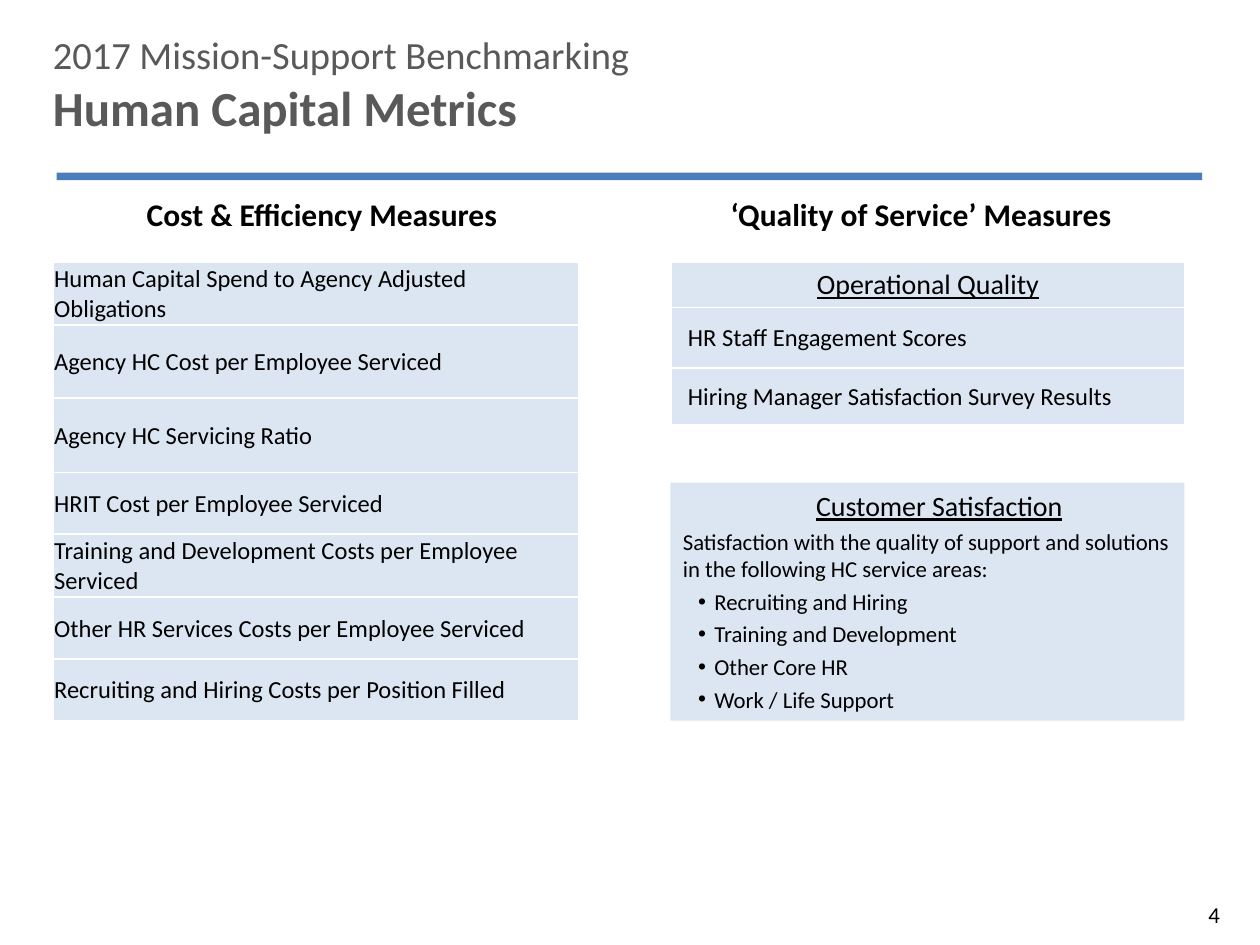
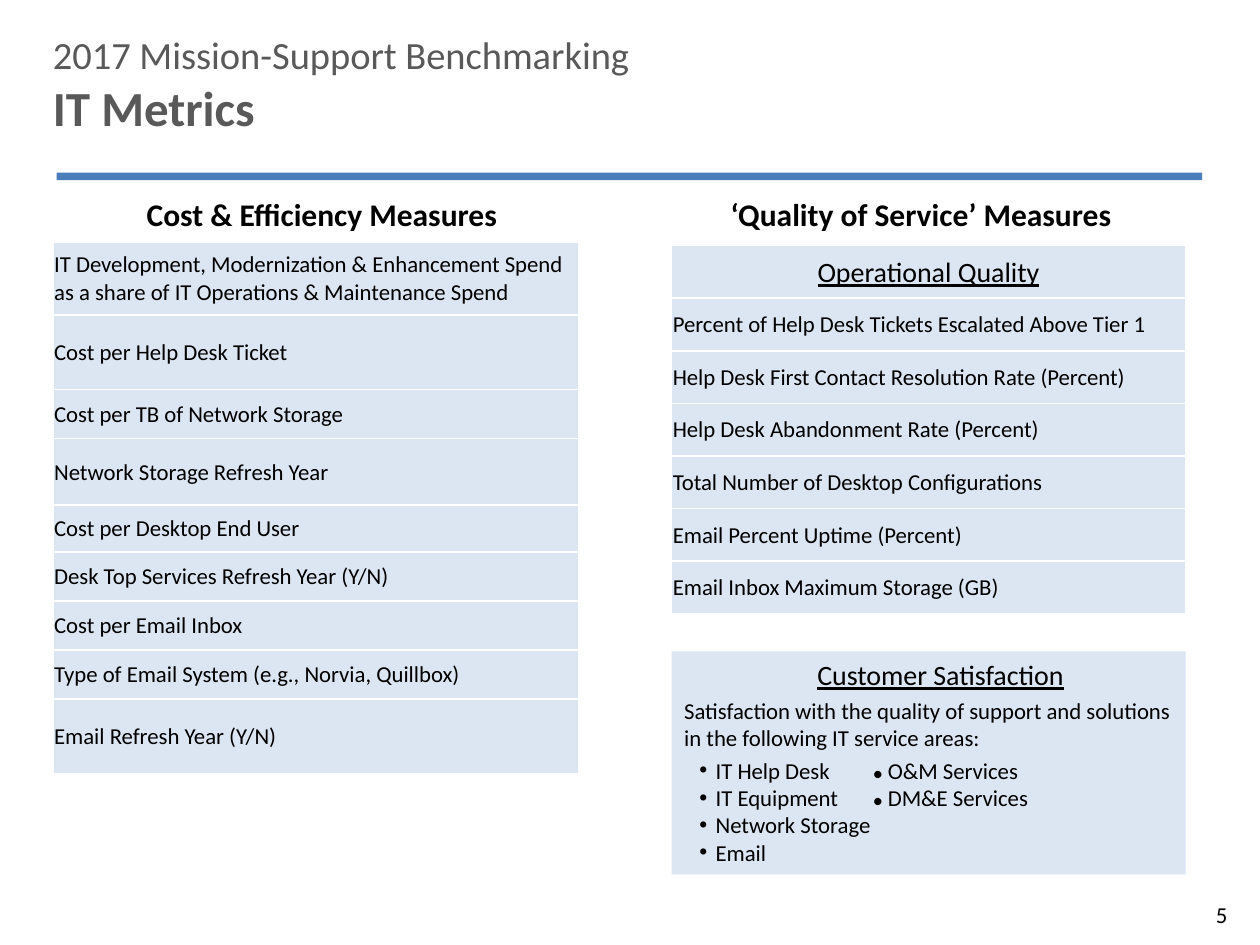
import pptx
import pptx.util
import pptx.dml.color
import pptx.enum.shapes
import pptx.enum.text
import pptx.oxml
import pptx.oxml.ns
from lxml import etree

Inches, Pt = pptx.util.Inches, pptx.util.Pt
RGBColor = pptx.dml.color.RGBColor
PP_ALIGN, ANCHOR = pptx.enum.text.PP_ALIGN, pptx.enum.text.MSO_ANCHOR
qn = pptx.oxml.ns.qn

BLACK = RGBColor(0x00, 0x00, 0x00)
GREY = RGBColor(0x59, 0x59, 0x59)
BLUE = RGBColor(0x4A, 0x7E, 0xBB)
PALE = RGBColor(0xDC, 0xE6, 0xF2)
WHITE = RGBColor(0xFF, 0xFF, 0xFF)
FONT = "Calibri"
LEFT_X, LEFT_W = 0.42, 4.17
RIGHT_X, RIGHT_W = 5.33, 4.08
COMPARISON = 4  # layout: title, heading, list, heading, list


class Deck:
    """Shared style and the slide being built."""

    def __init__(self):
        """Start an empty 10 x 7.5 inch presentation."""
        self.prs = pptx.Presentation()
        self.prs.slide_width, self.prs.slide_height = Inches(10), Inches(7.5)
        self.s = None

    def style(self, p, size, color=BLACK, bold=False, underline=False):
        """Format every run of a paragraph."""
        for r in p.runs:
            f = r.font
            f.name, f.size, f.bold, f.underline = FONT, Pt(size), bold, underline
            f.color.rgb = color

    def indent(self, p, left, first=0):
        """Set left margin and first-line indent."""
        pPr = p._p.get_or_add_pPr()
        pPr.set("marL", str(Inches(left)))
        pPr.set("indent", str(Inches(first)))

    def place(self, sp, x, y, w, h, margin=None):
        """Position a text shape, top anchored, with fixed text size."""
        sp.left, sp.top = Inches(x), Inches(y)
        sp.width, sp.height = Inches(w), Inches(h)
        tf = sp.text_frame
        tf.word_wrap = True
        tf.auto_size = pptx.enum.text.MSO_AUTO_SIZE.NONE
        tf.vertical_anchor = ANCHOR.TOP
        if margin is not None:
            tf.margin_left = tf.margin_right = Inches(margin)
            tf.margin_top = tf.margin_bottom = Inches(margin)
        return tf

    def slide(self, topic, number, number_x):
        """Add a slide with title, band, headings and page number."""
        self.s = self.prs.slides.add_slide(self.prs.slide_layouts[COMPARISON])
        unused = self.s.placeholders[2]._element
        unused.getparent().remove(unused)
        self.band()
        self.title("2017 Mission-Support Benchmarking", topic)
        self.heading(1, "Cost & Efficiency Measures", 0.67, 3.58)
        self.heading(3, "‘Quality of Service’ Measures", 4.84, 4.75)
        self.page_number(number, number_x)

    def band(self):
        """Draw the blue rule under the title."""
        sp = self.s.shapes.add_shape(
            pptx.enum.shapes.MSO_SHAPE.RECTANGLE,
            Inches(0.45), Inches(1.37), Inches(9.09), Inches(0.06))
        sp.shadow.inherit = False
        sp.fill.solid()
        sp.fill.fore_color.rgb = BLUE
        sp.line.fill.background()

    def title(self, series, topic):
        """Write the two-line title."""
        tf = self.place(self.s.shapes.title, LEFT_X, 0.25, 8.42, 0.92, margin=0)
        tf.text = series + "\n" + topic
        for p, size, bold in zip(tf.paragraphs, (22, 28), (False, True)):
            p.alignment = PP_ALIGN.LEFT
            self.style(p, size, GREY, bold)

    def heading(self, idx, text, x, w):
        """Write a column heading."""
        tf = self.place(self.s.placeholders[idx], x, 1.5, w, 6)
        tf.text = text
        p = tf.paragraphs[0]
        p.alignment, p.space_after = PP_ALIGN.CENTER, Pt(3)
        self.indent(p, 0.19)
        self.style(p, 18, bold=True)

    def page_number(self, number, x):
        """Write the page number at the lower right."""
        sp = self.s.shapes.add_textbox(0, 0, 0, 0)
        tf = self.place(sp, x, 7.15, 0.4, 0.22, margin=0)
        tf.text = str(number)
        self.indent(tf.paragraphs[0], 0.1)
        self.style(tf.paragraphs[0], 13)

    def borders(self, cell):
        """Give a cell thin white borders."""
        tcPr = cell._tc.get_or_add_tcPr()
        for side in ("lnL", "lnR", "lnT", "lnB"):
            ln = etree.SubElement(tcPr, qn("a:" + side), w=str(Pt(1)))
            fill = etree.SubElement(ln, qn("a:solidFill"))
            etree.SubElement(fill, qn("a:srgbClr"), val=str(WHITE))

    def measures(self, x, y, w, rows, size, header=False, indent=0):
        """Add a one-column table from (text, height) rows."""
        total = sum(height for _, height in rows)
        table = self.s.shapes.add_table(
            len(rows), 1, Inches(x), Inches(y), Inches(w), Inches(total)).table
        table.first_row = table.horz_banding = False
        for i, (text, height) in enumerate(rows):
            table.rows[i].height = Inches(height)
            cell = table.cell(i, 0)
            cell.margin_left = cell.margin_right = cell.margin_top = Inches(0.01)
            cell.margin_bottom = 0
            cell.vertical_anchor = ANCHOR.MIDDLE
            self.borders(cell)
            cell.fill.solid()
            cell.fill.fore_color.rgb = PALE
            cell.text_frame.text = text
            p = cell.text_frame.paragraphs[0]
            if header and i == 0:
                p.alignment = PP_ALIGN.CENTER
                self.style(p, 16, underline=True)
            else:
                self.indent(p, indent)
                self.style(p, size)

    def satisfaction(self, x, y, h, area, services, gap):
        """Fill the customer satisfaction box; a pair makes two columns."""
        sp = self.s.placeholders[4]
        tf = self.place(sp, x, y, RIGHT_W, h)
        sp.fill.solid()
        sp.fill.fore_color.rgb = PALE
        intro = ("Satisfaction with the quality of support and solutions "
                 f"in the following {area} service areas:")
        tf.text = "\n".join(["Customer Satisfaction", intro]
                            + [first for first, _ in services])
        for p in tf.paragraphs:
            p.space_before, p.space_after = 0, Pt(3)
        head, lead, *items = tf.paragraphs
        head.alignment = PP_ALIGN.CENTER
        self.indent(head, 0.19)
        self.style(head, 16, underline=True)
        self.indent(lead, 0)
        self.style(lead, 13)
        for p in (head, lead):
            etree.SubElement(p._p.get_or_add_pPr(), qn("a:buNone"))
        for p, (_, second) in zip(items, services):
            p.space_after = Pt(gap)
            self.indent(p, 0.25, -0.13)
            if second:
                p.runs[0].text += "\t"
                for text in ("●", " " + second):
                    p.add_run().text = text
            self.style(p, 13)
            if second:
                p.runs[1].font.size = Pt(9)
        items[-1].space_after = 0


def human_capital(deck):
    """Build the human capital slide."""
    deck.slide("Human Capital Metrics", 4, 9.49)
    deck.measures(LEFT_X, 2.08, LEFT_W, [
        ("Human Capital Spend to Agency Adjusted Obligations", 0.5),
        ("Agency HC Cost per Employee Serviced", 0.58),
        ("Agency HC Servicing Ratio", 0.59),
        ("HRIT Cost per Employee Serviced", 0.49),
        ("Training and Development Costs per Employee Serviced", 0.5),
        ("Other HR Services Costs per Employee Serviced", 0.49),
        ("Recruiting and Hiring Costs per Position Filled", 0.49)], 14)
    deck.measures(RIGHT_X, 2.08, 4.07, [
        ("Operational Quality", 0.36),
        ("HR Staff Engagement Scores", 0.48),
        ("Hiring Manager Satisfaction Survey Results", 0.45)],
        14, header=True, indent=0.12)
    deck.satisfaction(5.32, 3.83, 1.89, "HC", [
        ("Recruiting and Hiring", ""), ("Training and Development", ""),
        ("Other Core HR", ""), ("Work / Life Support", "")], gap=3)


def information_technology(deck):
    """Build the IT slide."""
    deck.slide("IT Metrics", 5, 9.55)
    deck.measures(LEFT_X, 1.92, LEFT_W, [
        ("IT Development, Modernization & Enhancement Spend "
         "as a share of IT Operations & Maintenance Spend", 0.58),
        ("Cost per Help Desk Ticket", 0.59),
        ("Cost per TB of Network Storage", 0.39),
        ("Network Storage Refresh Year", 0.53),
        ("Cost per Desktop End User", 0.37),
        ("Desk Top Services Refresh Year (Y/N)", 0.39),
        ("Cost per Email Inbox", 0.39),
        ("Type of Email System (e.g., Norvia, Quillbox)", 0.39),
        ("Email Refresh Year (Y/N)", 0.59)], 13)
    quality = ["Operational Quality",
               "Percent of Help Desk Tickets Escalated Above Tier 1",
               "Help Desk First Contact Resolution Rate (Percent)",
               "Help Desk Abandonment Rate (Percent)",
               "Total Number of Desktop Configurations",
               "Email Percent Uptime (Percent)",
               "Email Inbox Maximum Storage (GB)"]
    deck.measures(RIGHT_X, 1.95, RIGHT_W,
                  [(text, 2.92 / len(quality)) for text in quality],
                  13, header=True)
    deck.satisfaction(RIGHT_X, 5.17, 1.77, "IT", [
        ("IT Help Desk", "O&M Services"), ("IT Equipment", "DM&E Services"),
        ("Network Storage", ""), ("Email", "")], gap=0)


deck = Deck()
human_capital(deck)
information_technology(deck)
deck.prs.save("out.pptx")
